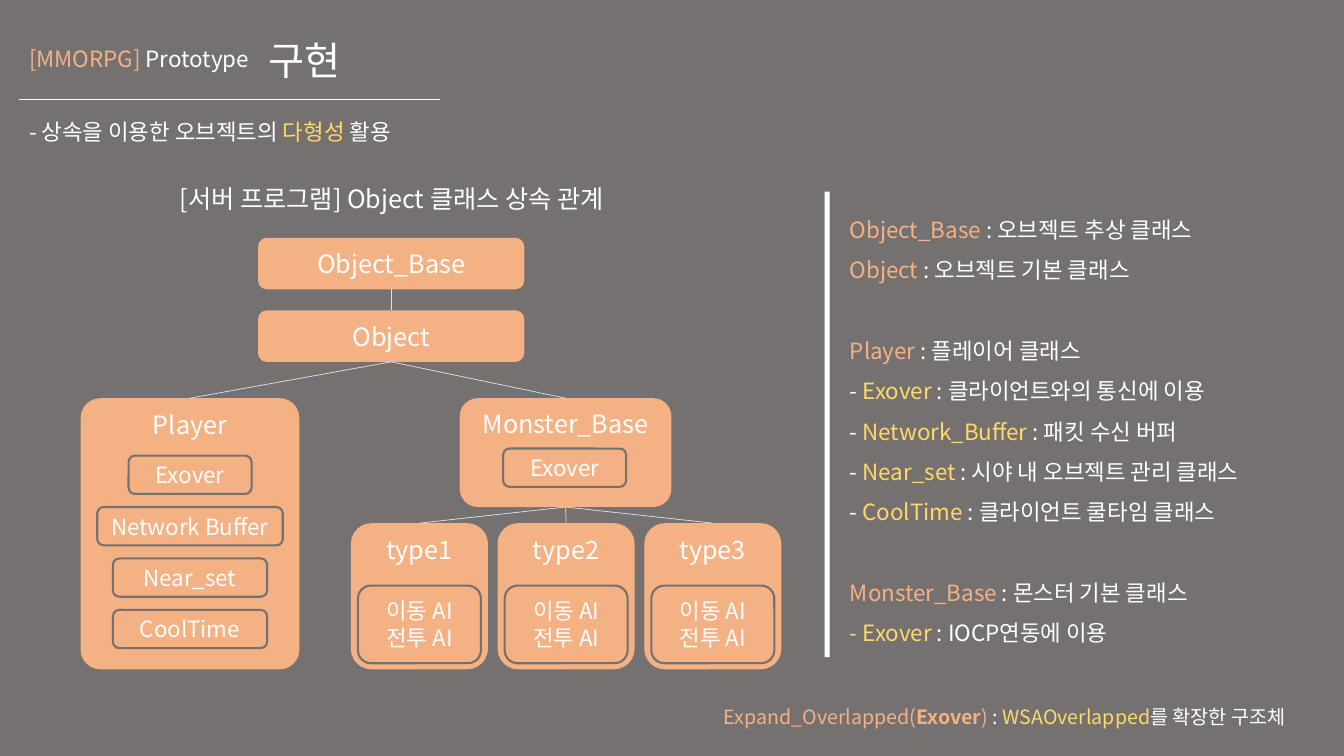
from lxml.etree import SubElement
from pptx import Presentation
from pptx.dml.color import RGBColor
from pptx.enum.shapes import MSO_CONNECTOR as Connector, MSO_SHAPE as Shape
from pptx.enum.text import MSO_ANCHOR as Anchor, MSO_AUTO_SIZE as AutoSize, PP_ALIGN as Align
from pptx.oxml.ns import qn
from pptx.util import Inches, Pt

FONT = "Noto Sans CJK KR"
GRAY, WHITE, ORANGE, YELLOW, PALE = "767171", "FFFFFF", "F4B183", "FFD966", "DAE3F3"
TOP, BOTTOM = 0, 2

CLASS_NOTES = [
    [("Object_Base ", ORANGE), (": 오브젝트 추상 클래스", WHITE)],
    [("Object ", ORANGE), (": 오브젝트 기본 클래스", WHITE)],
    [("Player ", ORANGE), (": 플레이어 클래스", WHITE)],
    [("- ", WHITE), ("Exover ", YELLOW), (": 클라이언트와의 통신에 이용", WHITE)],
    [("- ", WHITE), ("Network_Buffer", YELLOW), (" : 패킷 수신 버퍼", WHITE)],
    [("- ", WHITE), ("Near_set ", YELLOW), (": 시야 내 오브젝트 관리 클래스", WHITE)],
    [("- ", WHITE), ("CoolTime", YELLOW), (" : 클라이언트 쿨타임 클래스", WHITE)],
    [("Monster_Base ", ORANGE), (": 몬스터 기본 클래스", WHITE)],
    [("- Exover ", YELLOW), (": IOCP연동에 이용", WHITE)],
]
GROUP_STARTS = (2, 7)


def color(value):
    """Turn a hex string into a colour."""
    return RGBColor.from_string(value)


def assign(target, values):
    """Set each attribute in a dict of format values."""
    for name, value in values.items():
        setattr(target, name, value)


def place(target, box):
    """Move a shape to a box given in inches."""
    assign(target, dict(zip(("left", "top", "width", "height"), map(Inches, box))))


def write(paragraph, parts, size, spacing=1.0, align=Align.LEFT, before=0):
    """Fill a paragraph with (text, colour, bold) parts."""
    assign(paragraph, {"alignment": align, "space_before": Pt(before),
                       "line_spacing": Pt(round(size * 1.2 * spacing, 1))})
    for text, tint, *bold in parts:
        run = paragraph.add_run()
        run.text = text
        assign(run.font, {"name": FONT, "size": Pt(size), "bold": bool(bold)})
        run.font.color.rgb = color(tint)
        SubElement(run.font._element, qn("a:ea"), typeface=FONT)


def add_text(slide, box, parts, size, spacing=1.0):
    """Add a one-paragraph text box."""
    frame = slide.shapes.add_textbox(*map(Inches, box)).text_frame
    frame.word_wrap = True
    write(frame.paragraphs[0], parts, size, spacing)


def add_block(slide, box, label="", size=18, fill=None, outline=None,
              anchor=Anchor.MIDDLE, corner=None, kind=Shape.ROUNDED_RECTANGLE):
    """Add a block with a centred white label."""
    block = slide.shapes.add_shape(kind, *map(Inches, box))
    block.shadow.inherit = False
    if fill:
        block.fill.solid()
        block.fill.fore_color.rgb = color(fill)
    else:
        block.fill.background()
    if outline:
        block.line.color.rgb = color(outline)
        block.line.width = Pt(1.5)
    else:
        block.line.fill.background()
    if corner:
        block.adjustments[0] = corner
    if label:
        assign(block.text_frame, {"word_wrap": True, "vertical_anchor": anchor,
                                  "margin_left": Inches(0.05), "margin_right": Inches(0.05)})
        write(block.text_frame.paragraphs[0], [(label, WHITE)], size, align=Align.CENTER)
    return block


def add_member(slide, box, label):
    """Add an outlined class member."""
    add_block(slide, box, label, 16, outline=GRAY)


def add_rule(slide, start, end, tint):
    """Add a thin straight line."""
    rule = slide.shapes.add_connector(Connector.STRAIGHT, *map(Inches, start + end))
    rule.line.color.rgb = color(tint)
    rule.line.width = Pt(0.5)
    SubElement(rule._element.spPr, qn("a:effectLst"))
    return rule


def inherit(slide, parent, child):
    """Join a parent class to its child class."""
    link = add_rule(slide, (0, 0), (0, 0), PALE)
    link.begin_connect(parent, BOTTOM)
    link.end_connect(child, TOP)


def add_header(slide, left, top, width):
    """Place the project name, title, rule and topic."""
    add_text(slide, (left, top + 0.4, 2.98, 0.37),
             [("[MMORPG] ", ORANGE), ("Prototype", WHITE)], 16)
    title = slide.shapes.title
    place(title, (left + 2.37, top + 0.17, 1.8, 0.89))
    assign(title.text_frame, {"vertical_anchor": Anchor.MIDDLE, "word_wrap": True,
                              "auto_size": AutoSize.NONE})
    write(title.text_frame.paragraphs[0], [("구현", WHITE)], 28, 0.9)
    add_rule(slide, (left, top + 0.99), (left + width, top + 0.99), WHITE)
    add_text(slide, (left, top + 0.99, 7.67, 0.45),
             [("- 상속을 이용한 오브젝트의 ", WHITE), ("다형성 ", YELLOW), ("활용", WHITE)], 16, 1.5)


def add_player(slide, left, top):
    """Place the player class and its members."""
    width = 2.17
    player = add_block(slide, (left, top, width, 2.69), "Player", fill=ORANGE,
                       anchor=Anchor.TOP, corner=0.09)
    members = [("Exover", 1.22), ("Network Buffer", 1.84), ("Near_set", 1.53), ("CoolTime", 1.53)]
    for row, (member, span) in enumerate(members):
        add_member(slide, (left + (width - span) / 2, top + 0.57 + 0.51 * row, span, 0.38), member)
    return player


def add_monsters(slide, left, top):
    """Place the monster base class and its three types."""
    base = add_block(slide, (left + 1.08, top, 2.1, 1.08), "Monster_Base", fill=ORANGE,
                     anchor=Anchor.TOP)
    add_member(slide, (left + 1.51, top + 0.5, 1.22, 0.38), "Exover")
    type_top = top + 1.24
    for column in range(3):
        type_left = left + 1.455 * column
        monster = add_block(slide, (type_left, type_top, 1.36, 1.45), f"type{column + 1}",
                            fill=ORANGE, anchor=Anchor.TOP, corner=0.15)
        add_member(slide, (type_left + 0.07, type_top + 0.62, 1.22, 0.77), "이동 AI 전투 AI")
        inherit(slide, base, monster)
    return base


def add_class_tree(slide, left, top):
    """Place the inheritance diagram."""
    add_block(slide, (left - 0.12, top, 6.41, 0.57), "[서버 프로그램] Object 클래스 상속 관계")
    root, child = [add_block(slide, (left + 1.76, top + offset, 2.64, 0.51), label, fill=ORANGE)
                   for label, offset in (("Object_Base", 0.68), ("Object", 1.4))]
    inherit(slide, root, child)
    inherit(slide, child, add_player(slide, left, top + 2.27))
    inherit(slide, child, add_monsters(slide, left + 2.68, top + 2.27))


def add_class_notes(slide, left, top, height):
    """Place the class descriptions beside a vertical bar."""
    add_block(slide, (left, top, 0.05, height), fill=WHITE, kind=Shape.RECTANGLE)
    notes = slide.placeholders[1]
    place(notes, (left + 0.15, top, 4.58, height))
    frame = notes.text_frame
    assign(frame, {"vertical_anchor": Anchor.MIDDLE, "word_wrap": True,
                   "auto_size": AutoSize.NONE})
    for row, parts in enumerate(CLASS_NOTES):
        paragraph = frame.add_paragraph() if row else frame.paragraphs[0]
        properties = paragraph._p.get_or_add_pPr()
        properties.set("marL", "0")
        properties.set("indent", "0")
        SubElement(properties, qn("a:buNone"))
        write(paragraph, parts, 16, 1.5, before=28.8 if row in GROUP_STARTS else 0)


def add_footnote(slide, left, top):
    """Place the note on the extended structure."""
    add_text(slide, (left, top, 5.97, 0.41),
             [("Expand_Overlapped(", ORANGE), ("Exover", ORANGE, True), (") ", ORANGE),
              (": ", WHITE), ("WSAOverlapped", YELLOW), ("를 확장한 구조체", WHITE)], 14, 1.5)


def main():
    """Build and save the slide."""
    deck = Presentation()
    assign(deck, {"slide_width": Inches(13.33), "slide_height": Inches(7.5)})
    slide = deck.slides.add_slide(deck.slide_layouts[1])
    slide.background.fill.solid()
    slide.background.fill.fore_color.rgb = color(GRAY)
    add_header(slide, 0.19, 0, 4.17)
    add_class_tree(slide, 0.8, 1.68)
    add_class_notes(slide, 8.18, 1.9, 4.62)
    add_footnote(slide, 7.08, 6.83)
    deck.save("out.pptx")


if __name__ == "__main__":
    main()
